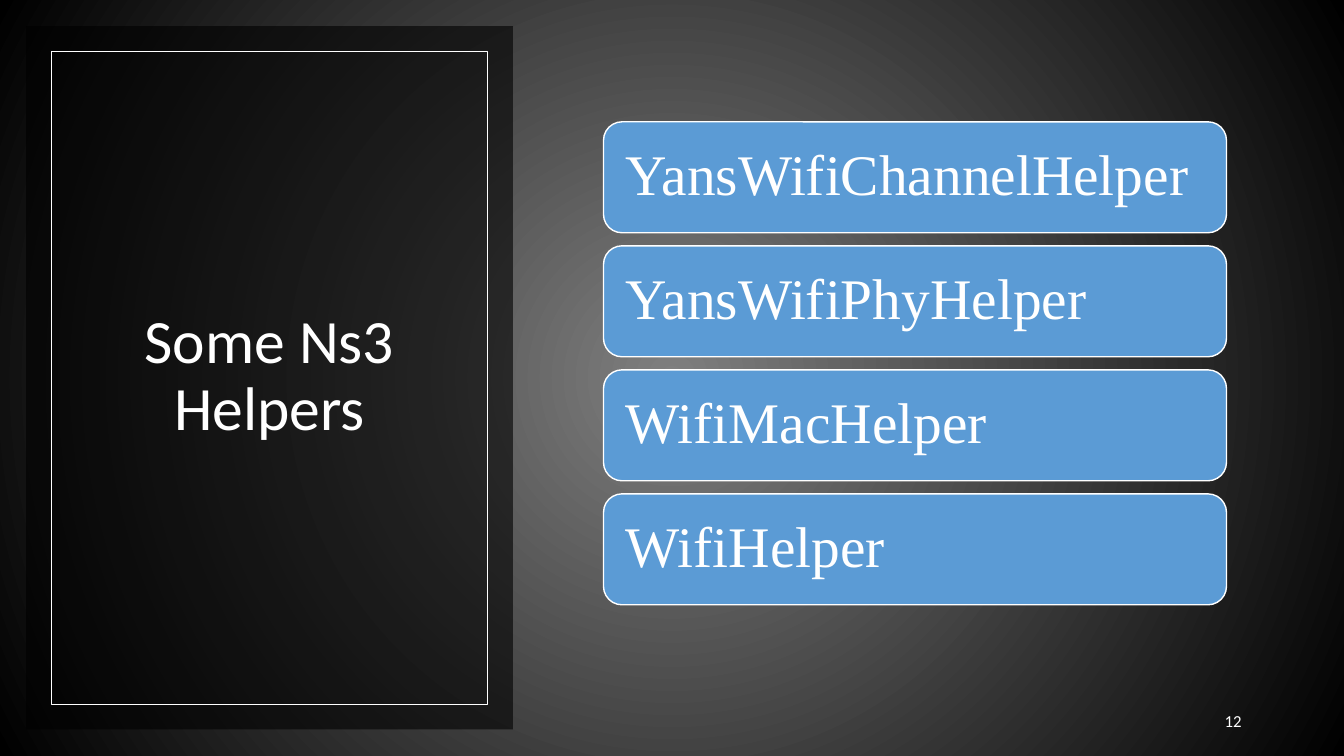
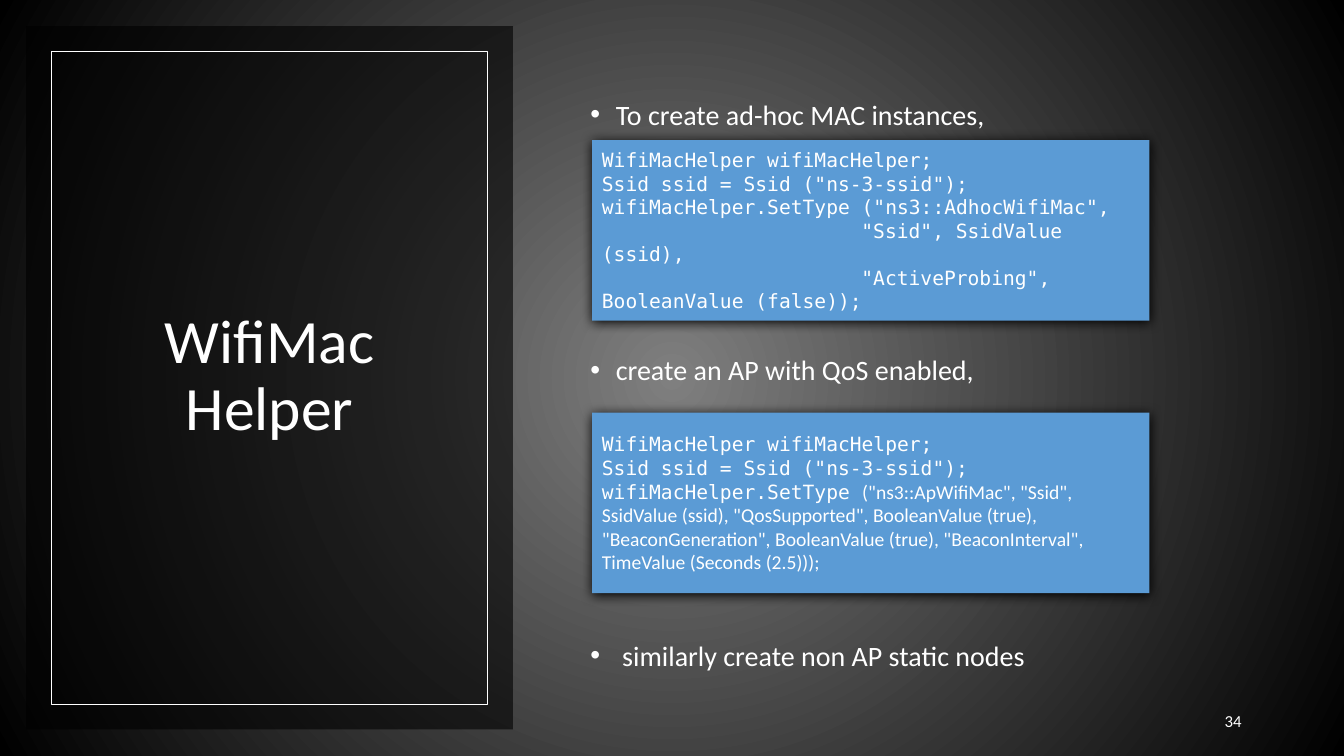
from dataclasses import dataclass

from lxml.etree import SubElement
from pptx import Presentation
from pptx.dml.color import RGBColor
from pptx.enum.shapes import MSO_SHAPE
from pptx.enum.text import MSO_ANCHOR, MSO_AUTO_SIZE, PP_ALIGN
from pptx.oxml.ns import qn
from pptx.util import Cm, Pt


@dataclass(frozen=True)
class Theme:
    glow: RGBColor = RGBColor(0x7F, 0x7F, 0x7F)
    dark: RGBColor = RGBColor(0x00, 0x00, 0x00)
    accent: RGBColor = RGBColor(0x5B, 0x9B, 0xD5)
    light: RGBColor = RGBColor(0xFF, 0xFF, 0xFF)
    panel_opacity: int = 60
    sans: str = "Calibri"
    serif: str = "Times New Roman"
    mono: str = "DejaVu Sans Mono"
    title_size: int = 44
    card_size: int = 41
    bullet_size: int = 20
    code_size: int = 14
    number_size: int = 12


@dataclass(frozen=True)
class Box:
    """A rectangle in centimetres."""
    left: float
    top: float
    width: float
    height: float

    def inset(self, across, down):
        return Box(self.left + across, self.top + down,
                   self.width - 2 * across, self.height - 2 * down)

    def lengths(self):
        return [Cm(side) for side in (self.left, self.top, self.width, self.height)]


THEME = Theme()
SLIDE = Box(0, 0, 33.87, 19.05)
PANEL = Box(0.66, 0.66, 12.27, 17.72)
CARDS = Box(15.21, 3.07, 15.7, 12.17)
NUMBER = Box(23.92, 17.65, 7.62, 1.02)
CODE_COLUMN = Box(14.92, 0, 14.05, 19.05)
CODE_HEIGHT = 4.55
BULLET_HEIGHT = 1.2
BULLET_OUTDENT = 0.29
CODE_INDENT = 6.54

HELPERS = ["YansWifiChannelHelper", "YansWifiPhyHelper", "WifiMacHelper", "WifiHelper"]

# Each bullet: text and vertical centre.
BULLETS = [
    ("To create ad-hoc MAC instances,", 2.88),
    ("create an AP with QoS enabled,", 9.31),
    (" similarly create non AP static nodes", 16.51),
]

# Each code line: first-line indent, then its runs as (text, font).
DECLARATIONS = [
    (0, [("WifiMacHelper wifiMacHelper;", THEME.mono)]),
    (0, [('Ssid ssid = Ssid ("ns-3-ssid");', THEME.mono)]),
]
ADHOC_CODE = DECLARATIONS + [
    (0, [('wifiMacHelper.SetType ("ns3::AdhocWifiMac",', THEME.mono)]),
    (CODE_INDENT, [('"Ssid", SsidValue (ssid),', THEME.mono)]),
    (CODE_INDENT, [('"ActiveProbing", BooleanValue (false));', THEME.mono)]),
]
ACCESS_POINT_CODE = DECLARATIONS + [
    (0, [("wifiMacHelper.SetType ", THEME.mono),
         ('("ns3::ApWifiMac", "Ssid", SsidValue (ssid), "QosSupported", '
          'BooleanValue (true), "BeaconGeneration", BooleanValue (true), '
          '"BeaconInterval", TimeValue (Seconds (2.5)));', THEME.sans)]),
]
CODE_BLOCKS = [(3.53, ADHOC_CODE), (10.4, ACCESS_POINT_CODE)]


def add_span(para, text, font, size):
    span = para.add_run()
    span.text = text
    span.font.name = font
    span.font.size = Pt(size)
    span.font.color.rgb = THEME.light


def prepare_frame(shape):
    """Make the text wrap inside a fixed box, centred vertically."""
    frame = shape.text_frame
    frame.word_wrap = True
    frame.auto_size = MSO_AUTO_SIZE.NONE
    frame.vertical_anchor = MSO_ANCHOR.MIDDLE
    return frame


def set_indent(para, margin, first_line):
    properties = para._p.get_or_add_pPr()
    properties.set("marL", str(Cm(margin)))
    properties.set("indent", str(Cm(first_line)))
    return properties


def add_block(page, kind, box, fill=None, line_width=None):
    block = page.shapes.add_shape(kind, *box.lengths())
    block.shadow.inherit = False
    if fill is None:
        block.fill.background()
    else:
        block.fill.solid()
        block.fill.fore_color.rgb = fill
    if line_width is None:
        block.line.fill.background()
    else:
        block.line.color.rgb = THEME.light
        block.line.width = Pt(line_width)
    return block


def add_drop_shadow(block):
    effects = block._element.spPr.find(qn("a:effectLst"))
    shadow = SubElement(effects, qn("a:outerShdw"), blurRad=str(Pt(8.5)),
                        dist=str(Pt(1)), dir="5400000", rotWithShape="0")
    SubElement(shadow, qn("a:srgbClr"), val=str(THEME.dark))


def paint_glow(fill, element):
    """Fill with a round glow that fades to dark at the corners."""
    fill.gradient()
    for stop, color in zip(fill.gradient_stops, (THEME.glow, THEME.dark)):
        stop.color.rgb = color
    gradient = next(element.iter(qn("a:gradFill")))
    gradient.remove(gradient.find(qn("a:lin")))
    circle = SubElement(gradient, qn("a:path"), path="circle")
    SubElement(circle, qn("a:fillToRect"), l="50000", t="50000", r="50000", b="50000")


def add_backdrop(page, box):
    backdrop = add_block(page, MSO_SHAPE.RECTANGLE, box)
    paint_glow(backdrop.fill, backdrop._element)


def add_title_panel(page, box, lines):
    panel = add_block(page, MSO_SHAPE.RECTANGLE, box, THEME.dark)
    color = next(panel._element.spPr.iter(qn("a:srgbClr")))
    SubElement(color, qn("a:alpha"), val=str(THEME.panel_opacity * 1000))
    add_block(page, MSO_SHAPE.RECTANGLE, box.inset(0.64, 0.64), line_width=0.5)

    title = page.shapes.title
    title.element.getparent().append(title.element)  # in front of the panel
    title.left, title.top, title.width, title.height = box.inset(1.22, 1.78).lengths()
    title.top -= Cm(0.02)
    para = prepare_frame(title).paragraphs[0]
    para.alignment = PP_ALIGN.CENTER
    para.line_spacing = 0.9
    for position, line in enumerate(lines):
        if position:
            para.add_line_break()
        add_span(para, line, THEME.sans, THEME.title_size)


def add_page_number(page, box, number):
    para = prepare_frame(page.shapes.add_textbox(*box.lengths())).paragraphs[0]
    para.alignment = PP_ALIGN.RIGHT
    add_span(para, str(number), THEME.sans, THEME.number_size)


def add_cards(page, box, names, gap=0.33):
    height = (box.height - gap * (len(names) - 1)) / len(names)
    for row, name in enumerate(names):
        place = Box(box.left, box.top + row * (height + gap), box.width, height)
        card = add_block(page, MSO_SHAPE.ROUNDED_RECTANGLE, place, THEME.accent, 1)
        frame = prepare_frame(card)
        frame.margin_left = frame.margin_right = Cm(0.43)
        para = frame.paragraphs[0]
        para.alignment = PP_ALIGN.LEFT
        para.line_spacing = 0.9
        add_span(para, name, THEME.serif, THEME.card_size)


def add_bullet(page, box, text):
    para = prepare_frame(page.shapes.add_textbox(*box.lengths())).paragraphs[0]
    properties = set_indent(para, 0.64, -0.64)
    SubElement(properties, qn("a:buFont"), typeface="Arial")
    SubElement(properties, qn("a:buChar"), char="•")
    add_span(para, text, THEME.sans, THEME.bullet_size)


def add_code(page, box, lines):
    block = add_block(page, MSO_SHAPE.RECTANGLE, box, THEME.accent)
    add_drop_shadow(block)
    frame = prepare_frame(block)
    for position, (first_line, spans) in enumerate(lines):
        para = frame.add_paragraph() if position else frame.paragraphs[0]
        para.alignment = PP_ALIGN.LEFT
        set_indent(para, 0, first_line)
        for text, font in spans:
            add_span(para, text, font, THEME.code_size)


def add_page(deck, title_lines, number):
    page = deck.slides.add_slide(deck.slide_layouts.get_by_name("Title Only"))
    add_backdrop(page, SLIDE)
    add_title_panel(page, PANEL, title_lines)
    add_page_number(page, NUMBER, number)
    return page


def add_helpers_page(deck):
    page = add_page(deck, ["Some Ns3 Helpers"], 12)
    add_cards(page, CARDS, HELPERS)


def add_mac_page(deck):
    page = add_page(deck, ["WifiMac", "Helper"], 34)
    column = CODE_COLUMN
    for text, centre in BULLETS:
        add_bullet(page, Box(column.left - BULLET_OUTDENT, centre - BULLET_HEIGHT / 2,
                             column.width, BULLET_HEIGHT), text)
    for top, lines in CODE_BLOCKS:
        add_code(page, Box(column.left, top, column.width, CODE_HEIGHT), lines)


def main():
    deck = Presentation()
    deck.slide_width, deck.slide_height = Cm(SLIDE.width), Cm(SLIDE.height)
    master = deck.slide_master
    paint_glow(master.background.fill, master.element.cSld)
    add_helpers_page(deck)
    add_mac_page(deck)
    deck.save("out.pptx")


if __name__ == "__main__":
    main()
